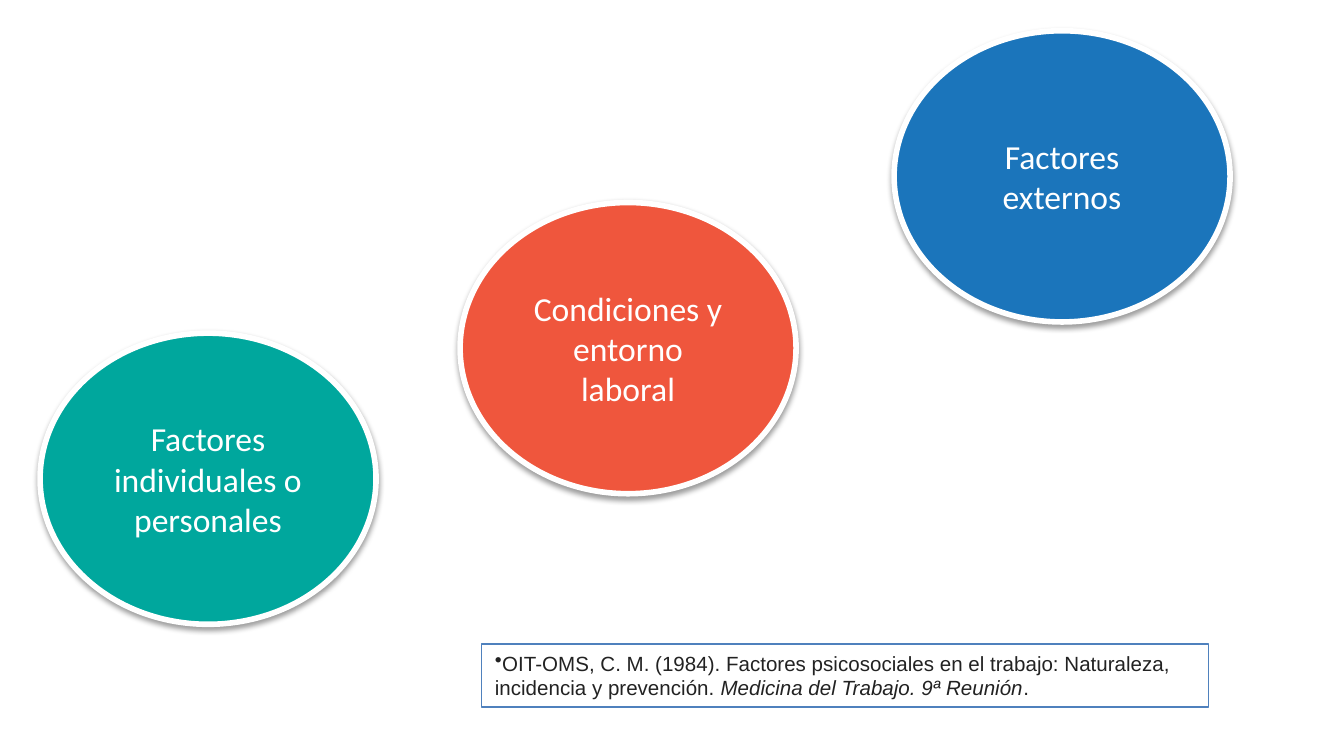
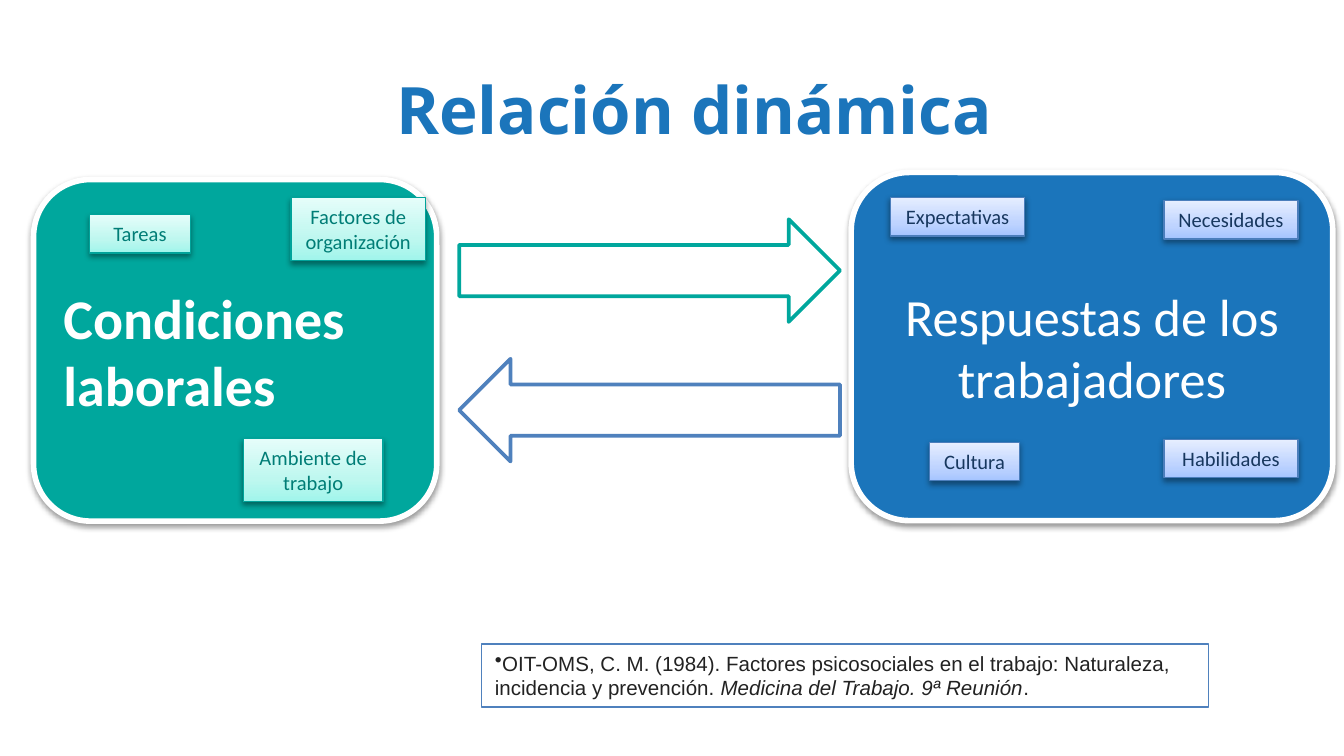
from dataclasses import dataclass
from typing import Optional

from lxml import etree
from pptx import Presentation
from pptx.dml import color
from pptx.enum import shapes, text
from pptx.oxml import ns
from pptx.util import Pt

# Shared look
COLORS = {
    "teal": "00A79D", "coral": "EF563D", "blue": "1B75BB", "white": "FFFFFF",
    "outline": "4F81BD", "note": "222222", "shadow": "000000",
    "teal_line": "00A39A", "teal_text": "007D76",
    "blue_line": "4B7EBC", "blue_text": "17375E",
}
GRADIENTS = {
    "teal": ((0, "A0F5EB"), (35, "BEF7EF"), (100, "E5FDFA")),
    "blue": ((0, "A4C4FF"), (35, "BFD4FF"), (100, "E6EEFF")),
}
KIND = shapes.MSO_SHAPE
ALIGN = text.PP_ALIGN
ANCHOR = text.MSO_ANCHOR
FIT = text.MSO_AUTO_SIZE


@dataclass(frozen=True)
class Box:
    left: float
    top: float
    width: float
    height: float


@dataclass(frozen=True)
class Bubble:
    kind: KIND
    box: Box
    fill: str
    label: str
    size: float
    bold: bool = False
    align: ALIGN = ALIGN.CENTER
    inset: float = 7.2


@dataclass(frozen=True)
class Tag:
    label: str
    tone: str
    box: Box


def rgb(name: str) -> color.RGBColor:
    return color.RGBColor.from_string(COLORS[name])


def format_font(r, name: str, ink: str, **values) -> None:
    r.font.name = name
    r.font.color.rgb = rgb(ink)
    for key, value in values.items():
        setattr(r.font, key, value)


def add_block(slide, kind: KIND, box: Box, line: str, weight: float,
              fill: Optional[str] = None):
    sp = slide.shapes.add_shape(
        kind, Pt(box.left), Pt(box.top), Pt(box.width), Pt(box.height))
    sp.shadow.inherit = False
    if fill:
        sp.fill.solid()
        sp.fill.fore_color.rgb = rgb(fill)
    else:
        sp.fill.background()
    sp.line.color.rgb = rgb(line)
    sp.line.width = Pt(weight)
    return sp


def add_shadow(sp) -> None:
    effects = sp._element.spPr.find(ns.qn("a:effectLst"))
    shadow = etree.SubElement(
        effects, ns.qn("a:outerShdw"), blurRad=str(Pt(3.1)),
        dist=str(Pt(1.6)), dir="5400000", rotWithShape="0")
    shade = etree.SubElement(shadow, ns.qn("a:srgbClr"), val=COLORS["shadow"])
    etree.SubElement(shade, ns.qn("a:alpha"), val="38000")


def fill_gradient(sp, tone: str) -> None:
    sp.fill.gradient()
    sp.fill.gradient_angle = 90
    stops = sp._element.spPr.find(".//" + ns.qn("a:gsLst"))
    for stop in list(stops):
        stops.remove(stop)
    for pos, shade in GRADIENTS[tone]:
        stop = etree.SubElement(stops, ns.qn("a:gs"), pos=str(pos * 1000))
        etree.SubElement(stop, ns.qn("a:srgbClr"), val=shade)


def set_frame(sp, anchor: ANCHOR, align: ALIGN, grow: bool = False):
    tf = sp.text_frame
    values = {"word_wrap": True, "vertical_anchor": anchor,
              "auto_size": FIT.SHAPE_TO_FIT_TEXT if grow else FIT.NONE}
    for key, value in values.items():
        setattr(tf, key, value)
    p = tf.paragraphs[0]
    p.alignment = align
    return p


def add_bubble(slide, item: Bubble) -> None:
    sp = add_block(slide, item.kind, item.box, "white", 3, item.fill)
    add_shadow(sp)
    p = set_frame(sp, ANCHOR.MIDDLE, item.align)
    sp.text_frame.margin_left = sp.text_frame.margin_right = Pt(item.inset)
    r = p.add_run()
    r.text = item.label
    format_font(r, "Calibri", "white", size=Pt(item.size), bold=item.bold)


def add_tag(slide, item: Tag) -> None:
    sp = add_block(slide, KIND.RECTANGLE, item.box, item.tone + "_line", 0.75)
    fill_gradient(sp, item.tone)
    add_shadow(sp)
    r = set_frame(sp, ANCHOR.TOP, ALIGN.CENTER, grow=True).add_run()
    r.text = item.label
    format_font(r, "Calibri", item.tone + "_text", size=Pt(11))


def add_source_note(slide) -> None:
    sp = add_block(slide, KIND.RECTANGLE, Box(258, 345, 389.5, 33.8),
                   "outline", 0.75)
    p = set_frame(sp, ANCHOR.TOP, ALIGN.LEFT, grow=True)
    bullet = etree.SubElement(p._p.get_or_add_pPr(), ns.qn("a:buChar"))
    bullet.set("char", "•")
    parts = (
        ("OIT-OMS, C. M. (1984). Factores psicosociales en el trabajo: "
         "Naturaleza, incidencia y prevención. ", False),
        ("Medicina del Trabajo. 9ª Reunión", True),
        (".", False),
    )
    for words, italic in parts:
        r = p.add_run()
        r.text = words
        format_font(r, "Arial", "note", size=Pt(11), italic=italic)


def set_title(slide, words: str, box: Box) -> None:
    sp = slide.shapes.title
    for key in ("left", "top", "width", "height"):
        setattr(sp, key, Pt(getattr(box, key)))
    r = set_frame(sp, ANCHOR.MIDDLE, ALIGN.CENTER).add_run()
    r.text = words
    format_font(r, "Open Sans", "blue", size=Pt(35), bold=True)


prs = Presentation()
prs.slide_width, prs.slide_height = Pt(720), Pt(405)

# Slide 1: three groups of factors
slide = prs.slides.add_slide(prs.slide_layouts[6])
add_source_note(slide)
FACTORS = (
    ("Factores individuales o personales", "teal", 21.5, 178.5),
    ("Condiciones y entorno laboral", "coral", 246.5, 108.5),
    ("Factores externos", "blue", 479, 16.5),
)
for label, fill, left, top in FACTORS:
    add_bubble(slide, Bubble(KIND.OVAL, Box(left, top, 180, 156), fill,
                             label, 18, inset=9))

# Slide 2: conditions and responses
slide = prs.slides.add_slide(prs.slide_layouts[5])
set_title(slide, "Relación dinámica", Box(150, 24.5, 444, 67.5))
add_source_note(slide)
PANELS = (
    Bubble(KIND.ROUNDED_RECTANGLE, Box(18, 96.2, 216, 183), "teal",
           "Condiciones laborales", 30, True, ALIGN.LEFT),
    Bubble(KIND.ROUNDED_RECTANGLE, Box(456, 92.4, 258, 186.5), "blue",
           "Respuestas de los trabajadores", 28),
)
for panel in PANELS:
    add_bubble(slide, panel)

# Arrows in both directions
for top, line, turn in ((117.5, "teal", 0), (192.2, "outline", 180)):
    sp = add_block(slide, KIND.RIGHT_ARROW, Box(246, top, 204, 55),
                   line, 2, "white")
    sp.rotation = turn

# Tags on the panels
ONE_LINE, TWO_LINES = 20.6, 33.8
TAGS = (
    Tag("Factores de organización", "teal", Box(156, 106, 72, TWO_LINES)),
    Tag("Tareas", "teal", Box(48, 115, 54, ONE_LINE)),
    Tag("Ambiente de trabajo", "teal", Box(130.3, 235, 75, TWO_LINES)),
    Tag("Expectativas", "blue", Box(477, 105.8, 72, ONE_LINE)),
    Tag("Cultura", "blue", Box(498, 237, 48.2, ONE_LINE)),
    Tag("Necesidades", "blue", Box(623.5, 107.4, 72, ONE_LINE)),
    Tag("Habilidades", "blue", Box(623.5, 235.4, 72, ONE_LINE)),
)
for tag in TAGS:
    add_tag(slide, tag)

prs.save("out.pptx")
